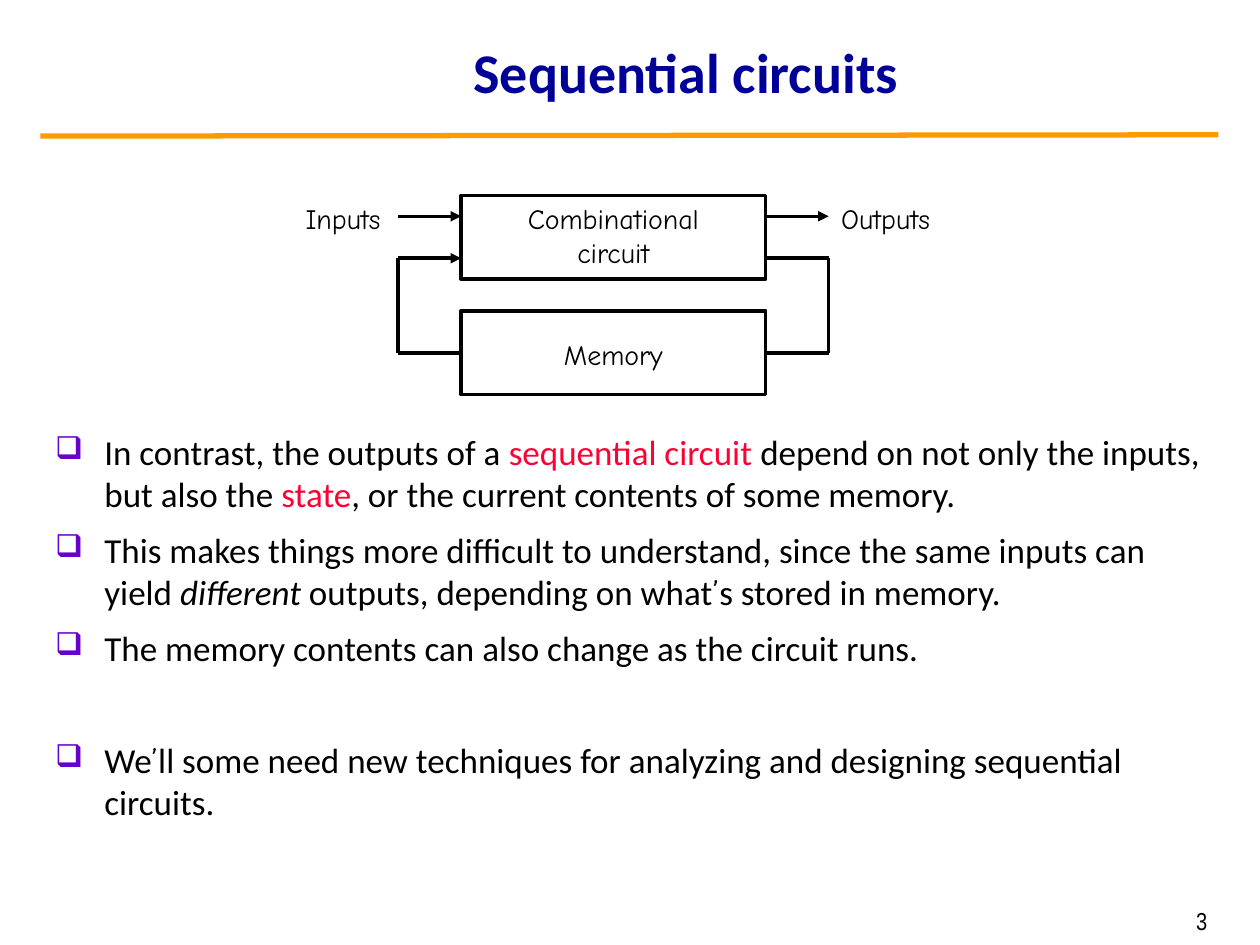
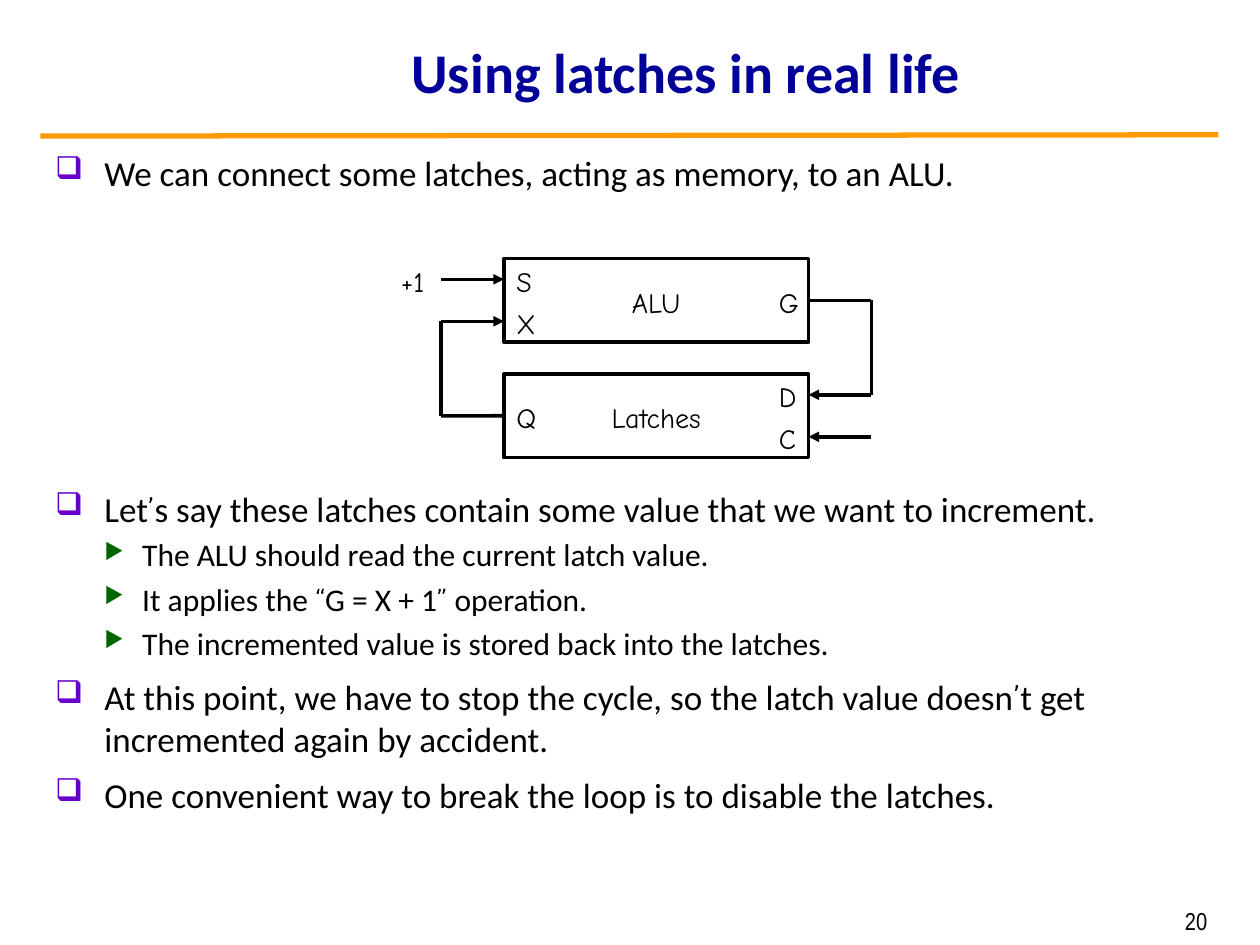
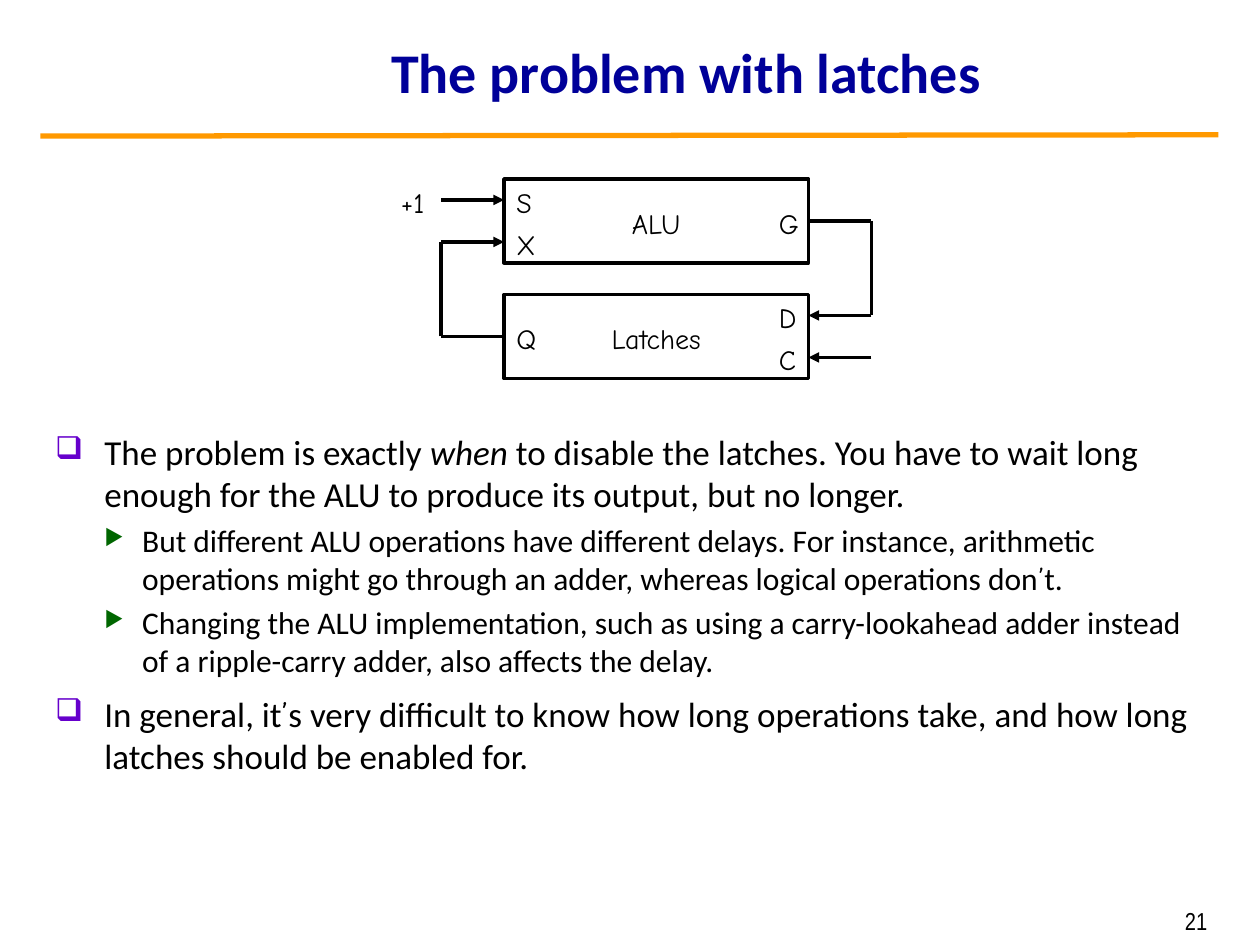
from lxml import etree
from pptx import Presentation
from pptx import util as u
from pptx.dml.color import RGBColor
from pptx.enum import shapes, text
from pptx.oxml import ns

NAVY = RGBColor(0x00, 0x00, 0x99)
ORANGE = RGBColor(0xFF, 0x99, 0x00)
RED = RGBColor(0xFF, 0x00, 0x33)
BLACK = RGBColor(0x00, 0x00, 0x00)
PURPLE = RGBColor(0x66, 0x00, 0xCC)
GREEN = RGBColor(0x00, 0x66, 0x00)

BODY_FONT = "Calibri"
HAND_FONT = "Comic Neue"
NUMBER_FONT = "Arial Narrow"
LEFT, CENTER, RIGHT = text.PP_ALIGN.LEFT, text.PP_ALIGN.CENTER, text.PP_ALIGN.RIGHT

RED_WORDS = {" sequential circuit ", "state"}
ITALIC_WORDS = {"different", "when"}
QUOTES = {"’", "“", "”"}

# symbol, colour, symbol size in percent, text size, margin, hanging indent, space before
BULLETS = [
    ("❑", PURPLE, 90, 20, 0.39, 0.39, 8),
    ("▶", GREEN, 70, 18, 0.69, 0.3, 3.6),
]
BLANK_LINE = 32

# Diagram places are counted in steps from the corner of the upper block.
STEP = 1 / 6
BLOCK_WIDTH, BLOCK_HEIGHT = 14.5, 4
BLOCK_TOPS = (0, 5.5)
PIN_WIDTH = 0.36
CAPTION_WIDTH = 12.5 * STEP

MEMORY_LABELS = [
    (1, 1, CAPTION_WIDTH, "Combinational\ncircuit", CENTER),
    (1, 7.5, CAPTION_WIDTH, "Memory", CENTER),
    (-8, 1, 0.89, "Inputs", LEFT),
    (17.5, 1, 1.05, "Outputs", LEFT),
]
MEMORY_WIRES = [
    (-3, 1, 0, 1, True),
    (14.5, 1, 17.5, 1, True),
    (14.5, 3, 17.5, 3, False),
    (17.5, 3, 17.5, 7.5, False),
    (17.5, 7.5, 14.5, 7.5, False),
    (0, 7.5, -3, 7.5, False),
    (-3, 7.5, -3, 3, False),
    (-3, 3, 0, 3, True),
]
LATCH_LABELS = [
    (1, 2, CAPTION_WIDTH, "ALU", CENTER),
    (1, 7.5, CAPTION_WIDTH, "Latches", CENTER),
    (-5.5, 1, 0.41, "+1", LEFT),
    (0, 1, PIN_WIDTH, "S", LEFT),
    (0, 3, PIN_WIDTH, "X", LEFT),
    (12.5, 2, PIN_WIDTH, "G", LEFT),
    (12.5, 6.5, PIN_WIDTH, "D", LEFT),
    (0, 7.5, 0.4, "Q", LEFT),
    (12.5, 8.5, PIN_WIDTH, "C", LEFT),
]
LATCH_WIRES = [
    (-3, 1, 0, 1, True),
    (14.5, 2, 17.5, 2, False),
    (17.5, 2, 17.5, 6.5, False),
    (17.5, 6.5, 14.5, 6.5, True),
    (17.5, 8.5, 14.5, 8.5, True),
    (0, 7.5, -3, 7.5, False),
    (-3, 7.5, -3, 3, False),
    (-3, 3, 0, 3, True),
]

# Each body line: level, blank lines before it, spans parted by bars.
PAGES = [
    {
        "title": "Sequential circuits", "number": 3, "body_top": 3.37,
        "corner": (3.66, 1.55), "labels": MEMORY_LABELS, "wires": MEMORY_WIRES,
        "body": [
            (0, 0, "In contrast, the outputs of a| sequential circuit |depend on not only the inputs, "
                   "but also the |state|, or the current contents of some memory."),
            (0, 0, "This makes things more difficult to understand, since the same inputs can yield "
                   "|different| outputs, depending on what|’|s stored in memory."),
            (0, 0, "The memory contents can also change as the circuit runs."),
            (0, 1, "We|’|ll some need new techniques for analyzing and designing sequential circuits."),
        ],
    },
    {
        "title": "Using latches in real life", "number": 20, "body_top": 1.15,
        "corner": (4, 2.05), "labels": LATCH_LABELS, "wires": LATCH_WIRES,
        "body": [
            (0, 0, "We can connect some latches, acting as memory, to an ALU."),
            (0, 5, "Let|’|s say these latches contain some value that we want to increment."),
            (1, 0, "The ALU should read the current latch value."),
            (1, 0, "It applies the |“|G = X + 1|”| operation."),
            (1, 0, "The incremented value is stored back into the latches."),
            (0, 0, "At this point, we have to stop the cycle, so the latch value doesn|’|t get "
                   "incremented again by accident."),
            (0, 0, "One convenient way to break the loop is to disable the latches."),
        ],
    },
    {
        "title": "The problem with latches", "number": 21, "body_top": 3.37,
        "corner": (4, 1.42), "labels": LATCH_LABELS, "wires": LATCH_WIRES,
        "body": [
            (0, 0, "The problem is exactly |when| to disable the latches. You have to wait long enough "
                   "for the ALU to produce its output, but no longer."),
            (1, 0, "But different ALU operations have different delays. For instance, arithmetic "
                   "operations might go through an adder, whereas logical operations don|’|t."),
            (1, 0, "Changing the ALU implementation, such as using a carry-lookahead adder instead of "
                   "a ripple-carry adder, also affects the delay."),
            (0, 0, "In general, it|’|s very difficult to know how long operations take, and how long "
                   "latches should be enabled for."),
        ],
    },
]


def add_label(parent, place, wording, size, font, color=BLACK, align=LEFT):
    box = parent.add_textbox(*map(u.Inches, place))
    box.text_frame.word_wrap = True
    box.text_frame.text = wording
    for para in box.text_frame.paragraphs:
        para.alignment = align
        para.font.size = u.Pt(size)
        for span in para.runs:
            span.font.size = u.Pt(size)
            span.font.name = font
            span.font.color.rgb = color
    return box


def add_wire(parent, start, end, color, width, arrow=False):
    wire = parent.add_connector(shapes.MSO_CONNECTOR.STRAIGHT, *map(u.Inches, start + end))
    wire.line.color.rgb = color
    wire.line.width = u.Pt(width)
    if arrow:
        etree.SubElement(wire.line._get_or_add_ln(), ns.qn("a:tailEnd"), type="triangle")
    etree.SubElement(wire._element.spPr, ns.qn("a:effectLst"))
    return wire


deck = Presentation()
deck.slide_width, deck.slide_height = u.Inches(10), u.Inches(7.5)

for content in PAGES:
    page = deck.slides.add_slide(deck.slide_layouts[6])
    add_wire(page.shapes, (0.32, 1.08), (9.67, 1.07), ORANGE, 3)
    add_label(page.shapes, (7.32, 7.14, 2.36, 0.31), str(content["number"]), 14, NUMBER_FONT, align=RIGHT)

    title = add_label(page.shapes, (1.22, 0.13, 8.45, 0.87), content["title"], 32, BODY_FONT, NAVY, CENTER)
    title.text_frame.vertical_anchor = text.MSO_ANCHOR.MIDDLE
    title.text_frame.paragraphs[0].runs[0].font.bold = True

    body_top = content["body_top"]
    body = page.shapes.add_textbox(*map(u.Inches, (0.34, body_top, 9.34, 7.13 - body_top)))
    body.text_frame.word_wrap = True
    for index, (level, blanks, wording) in enumerate(content["body"]):
        symbol, color, percent, size, margin, hanging, space = BULLETS[level]
        para = body.text_frame.paragraphs[0] if index == 0 else body.text_frame.add_paragraph()
        para.level = level
        para.space_before = u.Pt(space + blanks * BLANK_LINE)
        props = para._p.get_or_add_pPr()
        props.set("marL", str(u.Inches(margin)))
        props.set("indent", str(-u.Inches(hanging)))
        bullet_color = etree.SubElement(props, ns.qn("a:buClr"))
        etree.SubElement(bullet_color, ns.qn("a:srgbClr"), val=str(color))
        etree.SubElement(props, ns.qn("a:buSzPct"), val=str(percent * 1000))
        etree.SubElement(props, ns.qn("a:buChar"), char=symbol)
        for part in wording.split("|"):
            span = para.add_run()
            span.text = part
            span.font.size = u.Pt(size)
            span.font.name = HAND_FONT if part in QUOTES else BODY_FONT
            span.font.color.rgb = RED if part in RED_WORDS else BLACK
            span.font.italic = part in ITALIC_WORDS

    left, top = content["corner"]
    diagram = page.shapes.add_group_shape().shapes
    sockets = {}
    for block_top in BLOCK_TOPS:
        place = (left, top + block_top * STEP, BLOCK_WIDTH * STEP, BLOCK_HEIGHT * STEP)
        block = diagram.add_shape(shapes.MSO_SHAPE.RECTANGLE, *map(u.Inches, place))
        block.shadow.inherit = False
        block.fill.background()
        block.line.color.rgb = BLACK
        block.line.width = u.Pt(2)
        middle = block_top + BLOCK_HEIGHT / 2
        sockets[0, middle] = (block, 1)
        sockets[BLOCK_WIDTH, middle] = (block, 3)

    for x, y, width, wording, align in content["labels"]:
        height = 0.64 if "\n" in wording else 0.37
        place = (left + x * STEP, top + (y - 1) * STEP, width, height)
        add_label(diagram, place, wording, 16, HAND_FONT, align=align)

    for x1, y1, x2, y2, arrow in content["wires"]:
        start = (left + x1 * STEP, top + y1 * STEP)
        end = (left + x2 * STEP, top + y2 * STEP)
        wire = add_wire(diagram, start, end, BLACK, 2, arrow)
        if (x1, y1) in sockets:
            wire.begin_connect(*sockets[x1, y1])
        if (x2, y2) in sockets:
            wire.end_connect(*sockets[x2, y2])

deck.save("out.pptx")
